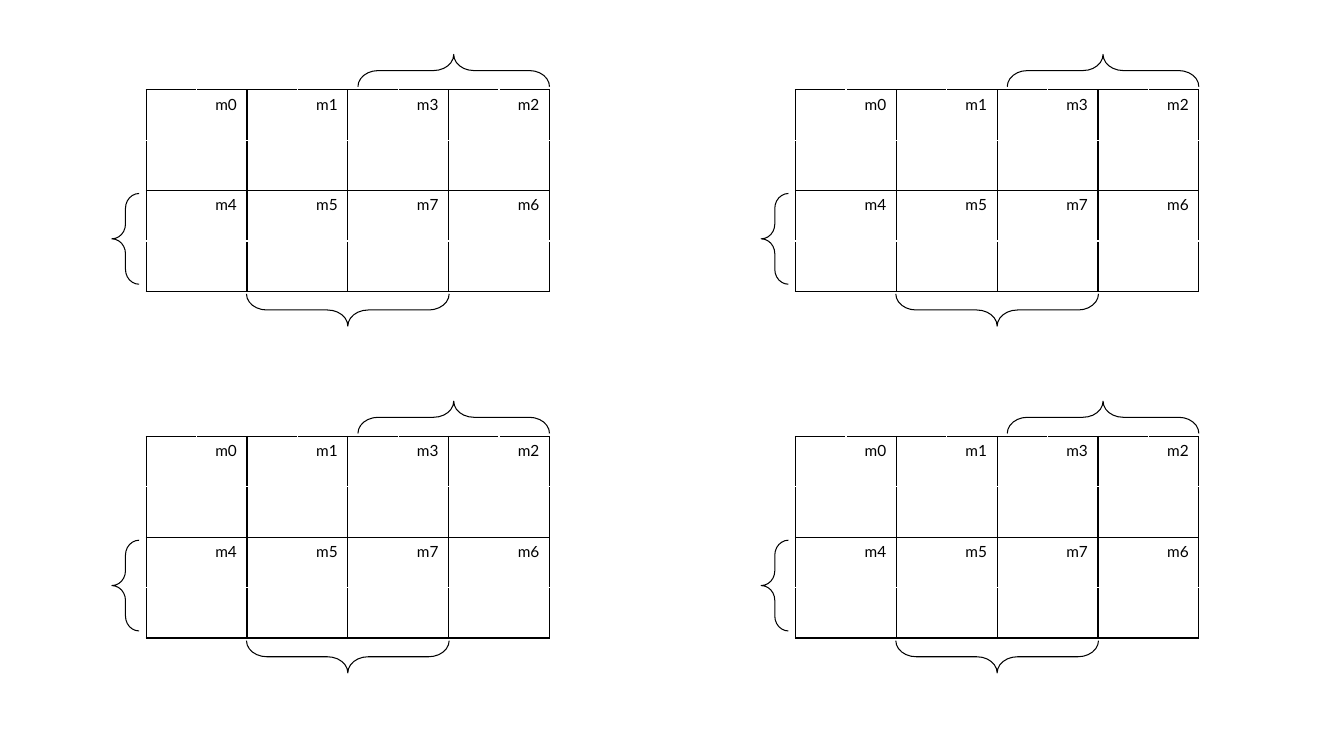
from lxml import etree
from pptx import Presentation
from pptx.dml.color import RGBColor
from pptx.enum.shapes import MSO_SHAPE
from pptx.enum.text import PP_ALIGN
from pptx.oxml.ns import qn
from pptx.util import Pt

BRACE = MSO_SHAPE.LEFT_BRACE
RIGHT = PP_ALIGN.RIGHT
BLACK = RGBColor(0x00, 0x00, 0x00)
PX = 9144  # 100 px to the inch

# Each map cell spans two by two table cells
HALF = 50
ROWS, COLS = 4, 8
TERMS = [["m0", "m1", "m3", "m2"], ["m4", "m5", "m7", "m6"]]

# Offset from the map, size, rotation, curve
BRACES = [
    (-34, 103, 27, 90, 0, 0.546),
    (289, -114, 32, 190, 90, 0.625),
    (184, 118, 32, 201, 270, 0.632),
]


def add_edge(cell, tag):
    edge = etree.SubElement(cell._tc.get_or_add_tcPr(), qn(tag), w=str(Pt(1)))
    fill = etree.SubElement(edge, qn("a:solidFill"))
    etree.SubElement(fill, qn("a:srgbClr"), val=str(BLACK))


prs = Presentation()
prs.slide_width = 1333 * PX
prs.slide_height = 750 * PX
slide = prs.slides.add_slide(prs.slide_layouts[6])

# Four blank Karnaugh maps
for top in (89, 433):
    for left in (145, 789):
        # Grid
        grid = slide.shapes.add_table(
            ROWS, COLS, left * PX, top * PX, COLS * HALF * PX, ROWS * HALF * PX
        ).table
        grid.first_row = False
        grid.horz_banding = False
        for row in range(ROWS):
            for col in range(COLS):
                cell = grid.cell(row, col)
                # Only the outer edges of each two by two block
                add_edge(cell, "a:lnR" if col % 2 else "a:lnL")
                add_edge(cell, "a:lnB" if row % 2 else "a:lnT")
                cell.fill.background()

                # Minterm in the top right corner of the block
                if row % 2 == 0 and col % 2 == 1:
                    para = cell.text_frame.paragraphs[0]
                    para.text = TERMS[row // 2][col // 2]
                    para.alignment = RIGHT
                    font = para.runs[0].font
                    font.name = "Lato"
                    font.size = Pt(11)
                    font.color.rgb = BLACK

        # Variable braces
        for dx, dy, width, height, turn, curve in BRACES:
            brace = slide.shapes.add_shape(
                BRACE, (left + dx) * PX, (top + dy) * PX, width * PX, height * PX
            )
            brace.rotation = turn
            brace.adjustments[0] = curve
            brace.shadow.inherit = False
            brace.fill.background()
            brace.line.color.rgb = BLACK
            brace.line.width = Pt(0.75)

prs.save("out.pptx")
